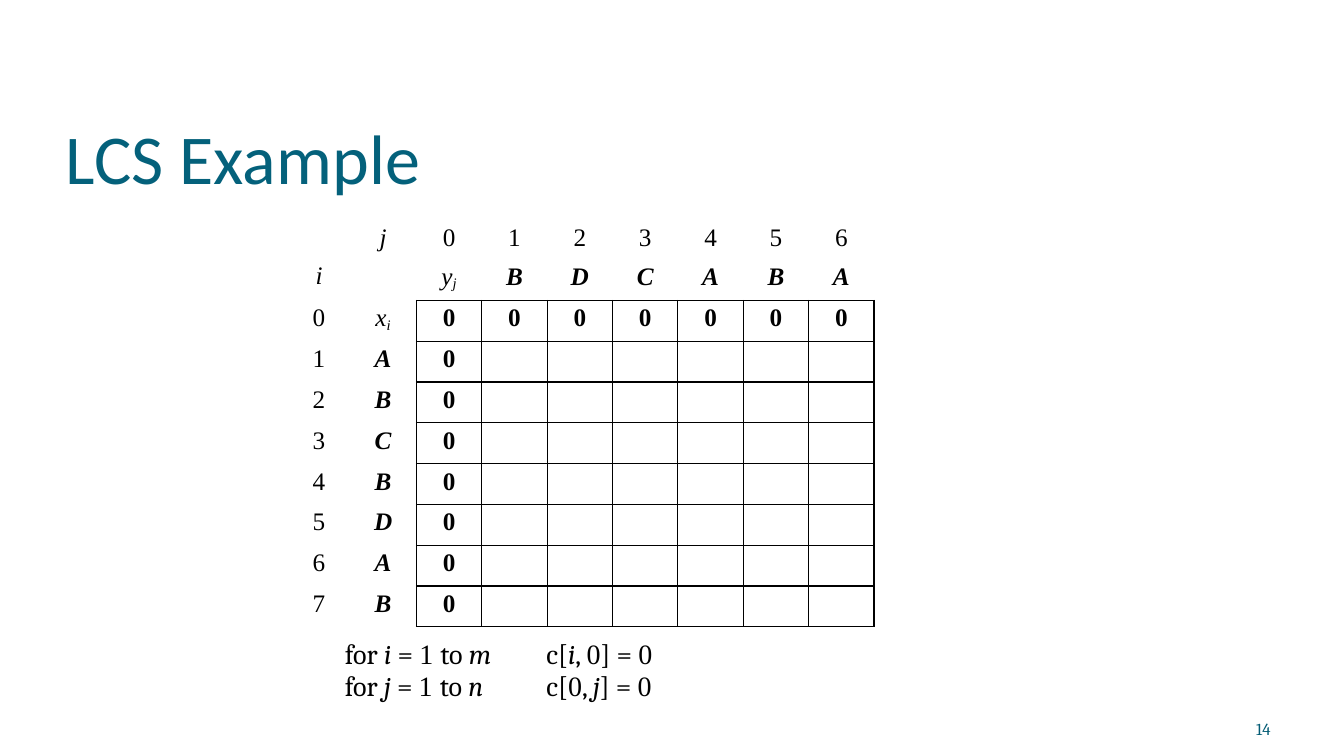
from lxml.etree import SubElement
from pptx import Presentation
from pptx.dml.color import RGBColor
from pptx.enum.text import PP_ALIGN
from pptx.oxml import parse_xml
from pptx.oxml.ns import nsdecls, qn
from pptx.util import Inches, Pt

HUES = {"title": "04617B", "page": "045C75", "ink": "000000"}
SERIF, ROMAN, SANS = "Cambria", "Times New Roman", "Calibri"
WIDE, HIGH = 13.33, 7.5
XS, YS = "ABCBDAB", "BDCABA"


def style(par, face, size, hue="ink", bold=None):
    font = par.font
    font.name, font.size, font.bold = face, Pt(size), bold
    font.color.rgb = RGBColor.from_string(HUES[hue])


def write(par, parts):
    """Add (text, flags) runs: i italic, b bold, t roman face, s subscript."""
    for text, flags in parts:
        run = par.add_run()
        run.text = text
        if "i" in flags:
            run.font.italic = True
        if "b" in flags:
            run.font.bold = True
        if "t" in flags:
            run.font.name = ROMAN
        if "s" in flags:
            run.font._element.set("baseline", "-14000")


def add_text(slide, box, lines, face, size, hue="ink", top=0.01, pitch=None, lead=1):
    frame = slide.shapes.add_textbox(*map(Inches, box)).text_frame
    frame.word_wrap = False
    frame.margin_left = frame.margin_right = frame.margin_bottom = 0
    frame.margin_top = Inches(top)
    for n, parts in enumerate(lines):
        par = frame.add_paragraph() if n else frame.paragraphs[0]
        style(par, face, size, hue)
        par.space_before = Pt(0 if n else lead)
        if pitch:
            par.line_spacing = Pt(pitch)
        write(par, parts)
    return frame


def edge(cell, sides):
    """Rule the named sides of a cell and clear the others."""
    props = cell._tc.get_or_add_tcPr()
    for n, side in enumerate("LRTB"):
        line = parse_xml(f'<a:ln{side} w="12700" {nsdecls("a")}/>')
        if side in sides:
            fill = SubElement(line, qn("a:solidFill"))
            SubElement(fill, qn("a:srgbClr")).set("val", HUES["ink"])
        else:
            SubElement(line, qn("a:noFill"))
        props.insert(n, line)


def content(row, col):
    """Lines of runs for one cell of the LCS grid."""
    if row == 0:
        if col == 0:
            return [[("i", "i")]]
        if col == 1:
            return [[("j", "i")]]
        name = [(YS[col - 3], "bi")] if col > 2 else [("y", "i"), ("j", "is")]
        return [[(str(col - 2), "")], name]
    if col == 0:
        return [[(str(row - 1), "")]]
    if col == 1:
        return [[(XS[row - 2], "bi")] if row > 1 else [("x", "i"), ("i", "is")]]
    return [[("0", "b")]] if row == 1 or col == 2 else []


def fill_cell(cell, row, col):
    cell.fill.background()
    cell.margin_left = cell.margin_right = cell.margin_bottom = 0
    cell.margin_top = Inches(0.04 if row else 0)
    if col == 0:
        cell.margin_left = Inches(0.05 if row else 0.08)
        if row == 0:
            cell.margin_top = Inches(0.37)
    if row and col > 1:
        edge(cell, "LRTB")
    else:
        edge(cell, "B" if col > 1 else "R" if row and col else "")
    frame = cell.text_frame
    style(frame.paragraphs[0], ROMAN, 18)
    for n, parts in enumerate(content(row, col)):
        par = frame.add_paragraph() if n else frame.paragraphs[0]
        style(par, ROMAN, 18)
        par.alignment = PP_ALIGN.CENTER if col else PP_ALIGN.LEFT
        if row:
            par.space_before = Pt(2.5)
        elif n:
            par.space_before = Pt(7.4)
        elif col:
            par.line_spacing = Pt(19.6)
        write(par, parts)


def add_grid(slide, box):
    rows, cols = len(XS) + 2, len(YS) + 3
    table = slide.shapes.add_table(rows, cols, *map(Inches, box)).table
    table.first_row = table.horz_banding = False
    # Label columns and header row first, then equal cells
    wide, high = box[2], box[3]
    heads, top = [0.42, 0.66], 0.75
    step = (wide - sum(heads)) / (cols - 2)
    for col, width in enumerate(heads + [step] * (cols - 2)):
        table.columns[col].width = Inches(width)
    for row in range(rows):
        table.rows[row].height = Inches((high - top) / (rows - 1) if row else top)
        for col in range(cols):
            fill_cell(table.cell(row, col), row, col)


def add_code(slide, box):
    left, top, wide, high = box
    loops = [[("for ", ""), (a, "i"), (" = ", ""), ("1 ", "t"), ("to ", ""), (b, "i")]
             for a, b in ("im", "jn")]
    sets = [
        [("c[", ""), ("i", "i"), (", ", ""), ("0", "t"), ("] = ", ""), ("0", "t")],
        [("c[", ""), ("0", "t"), (", ", ""), ("j", "i"), ("] = ", ""), ("0", "t")],
    ]
    add_text(slide, (left, top, 1.54, high), loops, SERIF, 20, pitch=22.9)
    add_text(slide, (left + 2, top, wide - 2, high), sets, SERIF, 20, pitch=22.9)


def main():
    deck = Presentation()
    deck.slide_width, deck.slide_height = Inches(WIDE), Inches(HIGH)
    slide = deck.slides.add_slide(deck.slide_layouts[6])
    # Title
    add_text(slide, (0.65, 1.13, 11.79, 0.86), [[("LCS Example", "")]], SANS, 50, "title")
    # Table of subsequence lengths
    add_grid(slide, (3.05, 2.23, 5.62, 3.99))
    # Initial values
    add_code(slide, (3.42, 6.32, 3.13, 0.66))
    # Page number
    page = add_text(slide, (12.38, 7.16, 0.36, 0.17), [[("14", "")]],
                    SERIF, 12, "page", top=0, pitch=12.4, lead=0)
    page.margin_left = Inches(0.08)
    deck.save("out.pptx")


if __name__ == "__main__":
    main()
